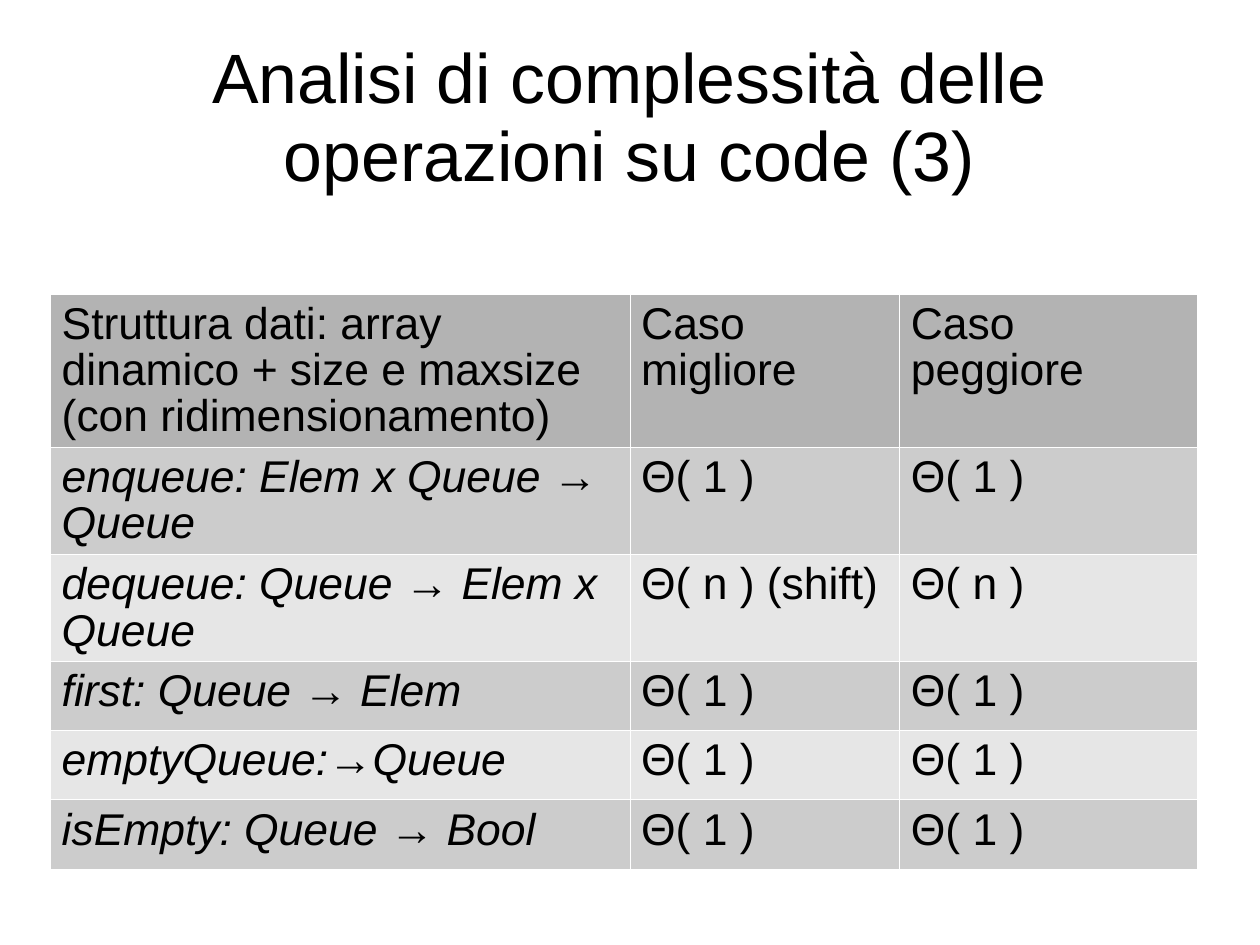
from lxml import etree
from pptx import Presentation
from pptx.dml.color import RGBColor
from pptx.enum.text import MSO_ANCHOR, MSO_AUTO_SIZE, PP_ALIGN
from pptx.oxml.ns import qn
from pptx.util import Cm, Inches, Pt

CENTER = PP_ALIGN.CENTER
LEFT = PP_ALIGN.LEFT
MIDDLE = MSO_ANCHOR.MIDDLE
TOP = MSO_ANCHOR.TOP
NO_AUTOFIT = MSO_AUTO_SIZE.NONE

BLACK = RGBColor(0x00, 0x00, 0x00)
WHITE = RGBColor(0xFF, 0xFF, 0xFF)
HEADER_GREY = RGBColor(0xB3, 0xB3, 0xB3)
BAND_GREYS = (RGBColor(0xCC, 0xCC, 0xCC), RGBColor(0xE6, 0xE6, 0xE6))

FONT = "Arial"
LINE_SPACING = 0.93
BORDER_WIDTH = Pt(0.06)
TITLE_ONLY_LAYOUT = 5

COLUMN_WIDTHS = (5.07, 2.36, 2.6)
ROW_HEIGHTS = (1.34, 0.93, 0.93, 0.6, 0.61, 0.61)
COMPLEXITY_ROWS = (
    ("Struttura dati: array dinamico + size e maxsize (con ridimensionamento)",
     "Caso migliore", "Caso peggiore"),
    ("enqueue: Elem x Queue → Queue", "Θ( 1 )", "Θ( 1 )"),
    ("dequeue: Queue → Elem x Queue", "Θ( n ) (shift)", "Θ( n )"),
    ("first: Queue → Elem", "Θ( 1 )", "Θ( 1 )"),
    ("emptyQueue:→Queue", "Θ( 1 )", "Θ( 1 )"),
    ("isEmpty: Queue → Bool", "Θ( 1 )", "Θ( 1 )"),
)


def format_paragraph(paragraph, size, alignment, italic=False):
    paragraph.alignment = alignment
    paragraph.line_spacing = LINE_SPACING
    for run in paragraph.runs:
        run.font.name = FONT
        run.font.size = Pt(size)
        run.font.italic = italic
        run.font.color.rgb = BLACK


def add_title(slide, text):
    title = slide.shapes.title
    title.left, title.top = Inches(0.55), Inches(0.33)
    title.width, title.height = Inches(9.92), Inches(1.38)
    frame = title.text_frame
    frame.text = text
    frame.word_wrap = True
    frame.auto_size = NO_AUTOFIT
    frame.vertical_anchor = MIDDLE
    frame.margin_left = frame.margin_right = frame.margin_bottom = 0
    frame.margin_top = Inches(0.04)
    format_paragraph(frame.paragraphs[0], 44, CENTER)


def set_borders(cell):
    """Draw a white hairline on all four sides; borders precede the fill in the XML."""
    properties = cell._tc.get_or_add_tcPr()
    for position, side in enumerate(("a:lnL", "a:lnR", "a:lnT", "a:lnB")):
        line = etree.Element(qn(side), w=str(BORDER_WIDTH))
        fill = etree.SubElement(line, qn("a:solidFill"))
        etree.SubElement(fill, qn("a:srgbClr"), val=str(WHITE))
        properties.insert(position, line)


def fill_cell(cell, text, color, italic):
    cell.text_frame.text = text
    cell.vertical_anchor = TOP
    cell.margin_left = cell.margin_right = Inches(0.1)
    cell.margin_top, cell.margin_bottom = Inches(0.08), Inches(0.05)
    cell.fill.solid()
    cell.fill.fore_color.rgb = color
    set_borders(cell)
    format_paragraph(cell.text_frame.paragraphs[0], 28, LEFT, italic)


def add_complexity_table(slide):
    table = slide.shapes.add_table(
        len(ROW_HEIGHTS), len(COLUMN_WIDTHS), Inches(0.44), Inches(2.57),
        Inches(sum(COLUMN_WIDTHS)), Inches(sum(ROW_HEIGHTS))).table
    for column, width in zip(table.columns, COLUMN_WIDTHS):
        column.width = Inches(width)
    for row, height in zip(table.rows, ROW_HEIGHTS):
        row.height = Inches(height)
    for row_index, texts in enumerate(COMPLEXITY_ROWS):
        is_header = row_index == 0
        color = HEADER_GREY if is_header else BAND_GREYS[(row_index - 1) % 2]
        for column_index, text in enumerate(texts):
            is_operation = column_index == 0 and not is_header
            fill_cell(table.cell(row_index, column_index), text, color, is_operation)


def main():
    presentation = Presentation()
    presentation.slide_width = Cm(28)
    presentation.slide_height = Cm(21)
    slide = presentation.slides.add_slide(
        presentation.slide_layouts[TITLE_ONLY_LAYOUT])
    add_title(slide, "Analisi di complessità delle operazioni su code (3)")
    add_complexity_table(slide)
    presentation.save("out.pptx")


if __name__ == "__main__":
    main()
